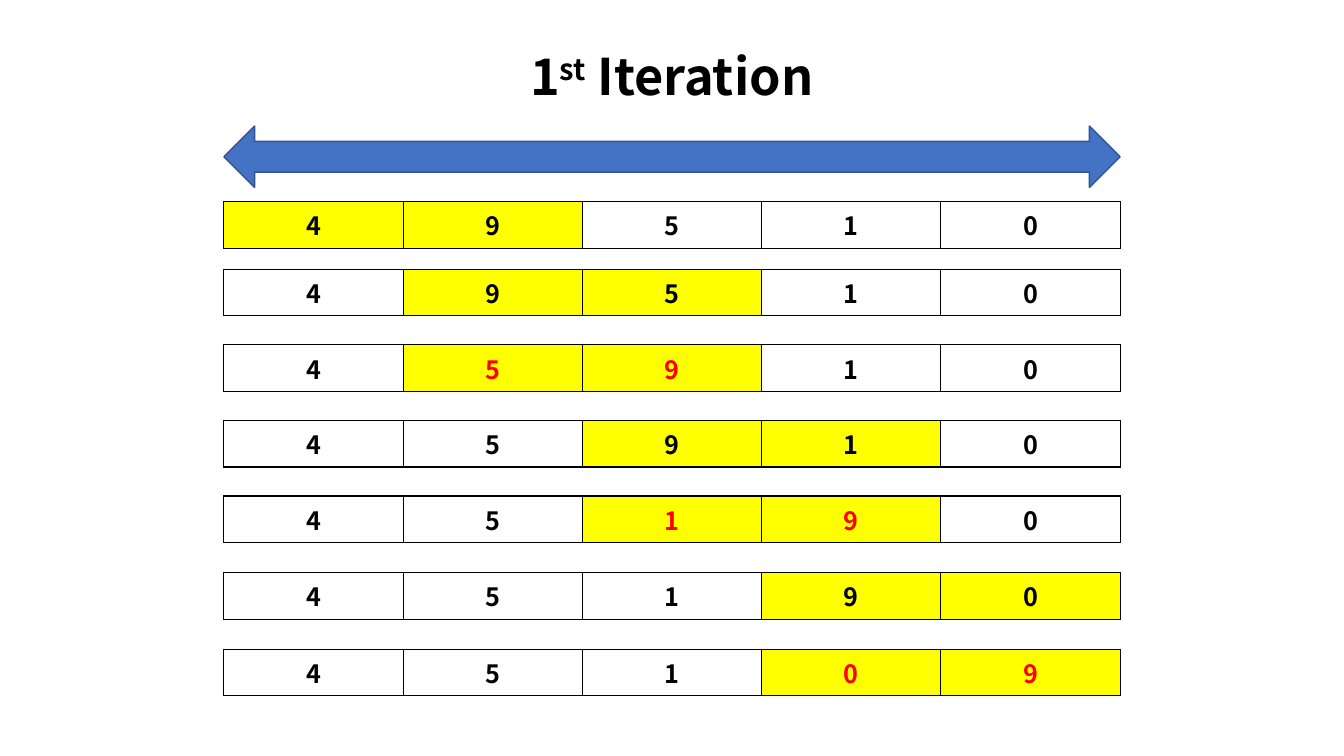
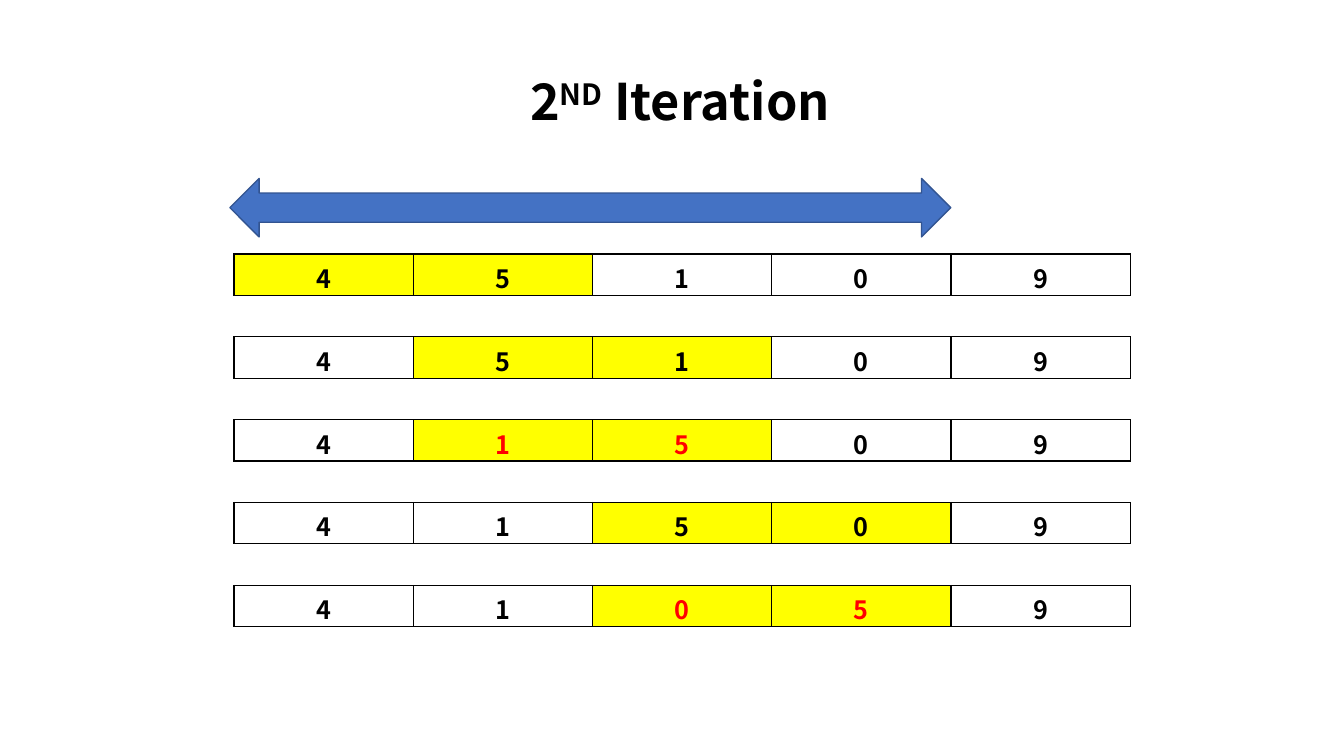
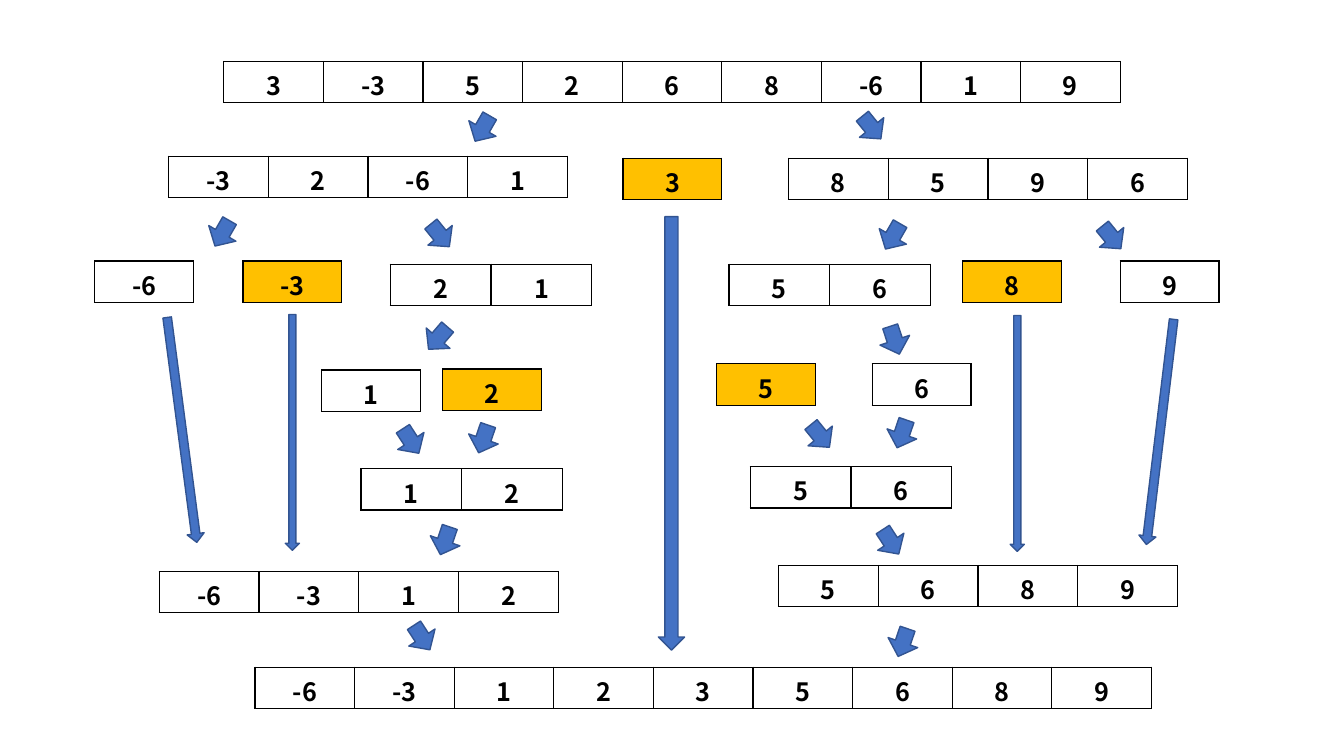
from lxml import etree
from pptx import Presentation, util as u
from pptx.dml import color
from pptx.enum import shapes, text
from pptx.oxml import ns

FONT = "Noto Sans CJK KR"
BLACK, RED, YELLOW, GOLD = "000000", "FF0000", "FFFF00", "FFC000"
BLUE, NAVY = "4472C4", "325491"
ROWS = 75
SIZE = {1: 9.8, 2: 10, 4: 9.9, 5: 17.78, 9: 9.88}
TALL = 4.1
ARROW = shapes.MSO_SHAPE.DOWN_ARROW
SPAN = shapes.MSO_SHAPE.LEFT_RIGHT_ARROW


def rgb(code):
    return color.RGBColor.from_string(code)


class Deck:
    """Draws array rows, arrows and titles on a square grid 75 rows high."""

    def __init__(self):
        self.file = Presentation()
        self.file.slide_width = u.Inches(13.33)
        self.file.slide_height = u.Inches(7.5)
        self.unit = self.file.slide_height / ROWS

    def page(self):
        self.slide = self.file.slides.add_slide(self.file.slide_layouts[6])

    def grid(self, *spans):
        return [round(span * self.unit) for span in spans]

    def label(self, par, words, size, ink=BLACK, base=0):
        run = par.add_run()
        run.text = words
        font = run.font
        font.name, font.size, font.bold = FONT, u.Pt(size), True
        font.color.rgb = rgb(ink)
        if base:
            run._r.get_or_add_rPr().set("baseline", str(base * 1000))

    def title(self, left, top, width, count, suffix):
        box = self.slide.shapes.add_textbox(*self.grid(left, top, width, 7.1))
        frame = box.text_frame
        frame.word_wrap = False
        frame.auto_size = text.MSO_AUTO_SIZE.SHAPE_TO_FIT_TEXT
        par = frame.paragraphs[0]
        self.label(par, count, 36)
        self.label(par, suffix, 36, base=30)
        self.label(par, " Iteration", 36)

    def arrow(self, kind, left, top, width, height, turn=0):
        shape = self.slide.shapes.add_shape(
            kind, *self.grid(left, top, width, height))
        shape.shadow.inherit = False
        shape.rotation = turn
        shape.fill.solid()
        shape.fill.fore_color.rgb = rgb(BLUE)
        shape.line.color.rgb = rgb(NAVY)
        shape.line.width = u.Pt(1)

    def border(self, cell):
        props = cell._tc.get_or_add_tcPr()
        for side in ("lnL", "lnR", "lnT", "lnB"):
            line = etree.SubElement(props, ns.qn("a:" + side), w=str(u.Pt(1)))
            fill = etree.SubElement(line, ns.qn("a:solidFill"))
            etree.SubElement(fill, ns.qn("a:srgbClr"), val=BLACK)

    def array(self, left, top, values, marks=(), tint=YELLOW, ink=BLACK):
        count = len(values)
        place = self.grid(left, top, SIZE[count] * count, TALL)
        table = self.slide.shapes.add_table(1, count, *place).table
        table.first_row = table.horz_banding = False
        for i, value in enumerate(values):
            cell = table.cell(0, i)
            self.border(cell)
            if i in marks:
                cell.fill.solid()
                cell.fill.fore_color.rgb = rgb(tint)
            else:
                cell.fill.background()
            cell.vertical_anchor = text.MSO_ANCHOR.MIDDLE
            par = cell.text_frame.paragraphs[0]
            par.alignment = text.PP_ALIGN.CENTER
            self.label(par, str(value), 18, ink if i in marks else BLACK)


def bubble(values, last):
    """Yield each comparison and swap of one bubble sort pass."""
    values = list(values)
    for i in range(last):
        pair = (i, i + 1)
        yield list(values), pair, BLACK
        if values[i] > values[i + 1]:
            values[i], values[i + 1] = values[i + 1], values[i]
            yield list(values), pair, RED


deck = Deck()

passes = [
    (("1", "st"), (51.6, 4, 30.1), (22.2, 12.5, 88.9, 6.1), 22.2,
     [20, 26.7, 34.2, 41.7, 49.2, 56.8, 64.4], [4, 9, 5, 1, 0], 4),
    (("2", "ND"), (51.6, 6.5, 32.4), (22.8, 17.7, 71.5, 5.8), 23.2,
     [25.2 + 8.22 * i for i in range(5)], [4, 5, 1, 0, 9], 3),
]
for name, head, span, left, tops, values, last in passes:
    deck.page()
    for top, (state, pair, ink) in zip(tops, bubble(values, last)):
        deck.array(left, top, state, pair, ink=ink)
    deck.arrow(SPAN, *span)
    deck.title(*head, *name)

deck.page()
parts = [
    (22.2, 6.1, [3, -3, 5, 2, 6, 8, -6, 1, 9]),
    (16.7, 15.5, [-3, 2, -6, 1]), (78.2, 15.7, [8, 5, 9, 6]),
    (9.4, 25.9, [-6]), (38.7, 26.2, [2, 1]),
    (72.3, 26.2, [5, 6]), (111.1, 25.9, [9]),
    (31.9, 36.7, [1]), (86.5, 36.1, [6]),
    (35.8, 46.5, [1, 2]), (74.4, 46.3, [5, 6]),
    (15.8, 56.7, [-6, -3, 1, 2]), (77.2, 56.1, [5, 6, 8, 9]),
    (25.3, 66.2, [-6, -3, 1, 2, 3, 5, 6, 8, 9]),
]
for part in parts:
    deck.array(*part)

pivots = [(61.8, 15.7, 3), (24.1, 25.9, -3), (95.5, 25.9, 8),
          (43.9, 36.6, 2), (71.1, 36.1, 5)]
for left, top, value in pivots:
    deck.array(left, top, [value], [0], GOLD)

turns = {
    29.9: [(46.3, 11.3), (20.5, 21.7), (87, 22)],
    320.9: [(84.9, 11.2), (42.1, 21.9), (108.7, 22.1), (79.8, 41.8)],
    40.6: [(41.9, 32.1)],
    341.8: [(87.2, 32.3)],
    327: [(39.2, 42.3), (86.8, 52.3), (40.3, 61.8)],
    18.8: [(46.4, 42.1), (87.9, 41.6), (42.6, 52.2), (88, 62.3)],
}
for turn, spots in turns.items():
    for left, top in spots:
        deck.arrow(ARROW, left, top, 3.1, 2.9, turn)

drops = [(65.3, 21.5, 2.6, 43, 0),
         (28.3, 31.2, 1.4, 23.4, 0), (100.2, 31.3, 1.4, 23.4, 0),
         (17.2, 31.4, 1.7, 22.5, 352.5), (114.2, 31.6, 1.7, 22.5, 6.9)]
for drop in drops:
    deck.arrow(ARROW, *drop)

deck.file.save("out.pptx")
